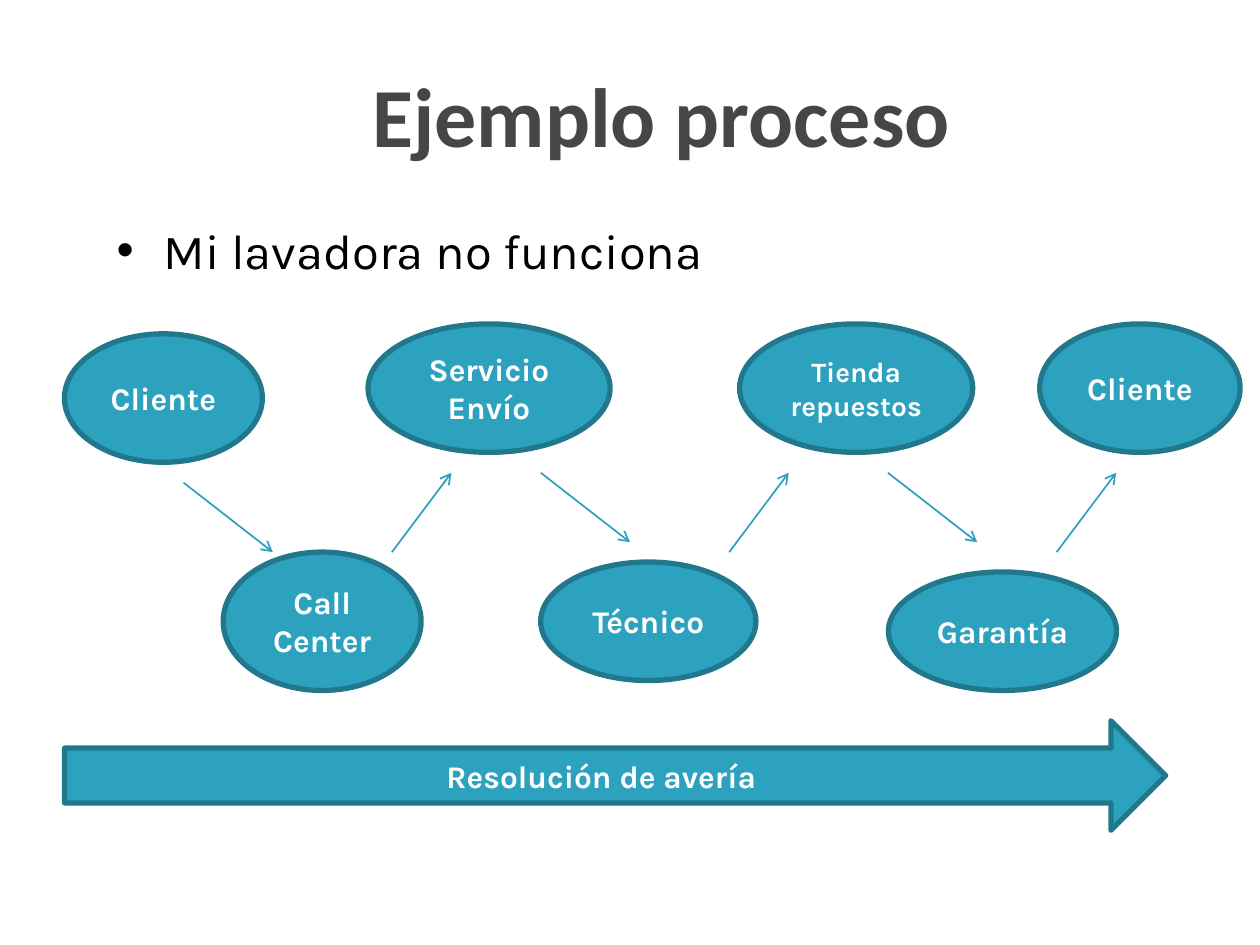
from pptx import Presentation
from pptx.dml.color import RGBColor
from pptx.enum.shapes import MSO_CONNECTOR, MSO_SHAPE
from pptx.enum.text import MSO_ANCHOR, PP_ALIGN
from pptx.oxml.ns import qn
from pptx.util import Cm, Pt
from lxml.etree import SubElement


def color(code):
    return RGBColor.from_string(code)


def write(shape, text, size=18, font="Karla", ink="FFFFFF", bold=True,
          align=PP_ALIGN.CENTER, anchor=MSO_ANCHOR.MIDDLE):
    frame = shape.text_frame
    frame.word_wrap = True
    frame.vertical_anchor = anchor
    par = frame.paragraphs[0]
    par.alignment = align
    run = par.add_run()
    run.text = text
    run.font.size = Pt(size)
    run.font.name = font
    run.font.bold = bold
    run.font.color.rgb = color(ink)
    return par


deck = Presentation()
deck.slide_width = Cm(25.4)
deck.slide_height = Cm(19.05)
slide = deck.slides.add_slide(deck.slide_layouts[6])
shapes = slide.shapes

title = shapes.add_textbox(Cm(1.9), Cm(0.7), Cm(22.86), Cm(3.18))
write(title, "Ejemplo proceso", size=48, font="Calibri", ink="464646")

body = shapes.add_textbox(Cm(2.1), Cm(4.32), Cm(19.48), Cm(12.57))
par = write(body, "Mi lavadora no funciona", size=28, ink="000000", bold=False,
            align=PP_ALIGN.LEFT, anchor=MSO_ANCHOR.TOP)
par.space_before = Pt(5.6)
props = par._p.get_or_add_pPr()
props.set("marL", str(Cm(0.95)))
props.set("indent", str(-Cm(0.95)))
SubElement(props, qn("a:buFont"), typeface="Arial")
SubElement(props, qn("a:buChar"), char="•")

oval = MSO_SHAPE.OVAL
steps = [
    (oval, "Cliente", 1.3, 6.73, 3.99, 2.59, 18),
    (oval, "Call Center", 4.5, 11.13, 3.99, 2.79, 18),
    (oval, "Servicio Envío", 7.42, 6.53, 4.88, 2.59, 18),
    (oval, "Técnico", 10.9, 11.33, 4.34, 2.39, 18),
    (oval, "Tienda repuestos", 14.91, 6.53, 4.7, 2.59, 16),
    (oval, "Garantía", 17.91, 11.53, 4.6, 2.39, 18),
    (oval, "Cliente", 20.96, 6.53, 4.04, 2.59, 18),
    (MSO_SHAPE.RIGHT_ARROW, "Resolución de avería", 1.3, 14.53, 22.2, 2.21, 18),
]
for kind, text, left, top, width, height, size in steps:
    step = shapes.add_shape(kind, Cm(left), Cm(top), Cm(width), Cm(height))
    step.shadow.inherit = False
    step.fill.solid()
    step.fill.fore_color.rgb = color("2DA2BF")
    step.line.color.rgb = color("21788D")
    step.line.width = Pt(3)
    write(step, text, size=size)

down, up = (1.8, 1.4), (1.2, -1.6)
links = [
    (3.7, 9.73, down), (7.9, 11.13, up),
    (10.9, 9.53, down), (14.7, 11.13, up),
    (17.9, 9.53, down), (21.3, 11.13, up),
]
for left, top, (run, rise) in links:
    link = shapes.add_connector(MSO_CONNECTOR.STRAIGHT, Cm(left), Cm(top),
                                Cm(left + run), Cm(top + rise))
    link.line.color.rgb = color("2DA2BF")
    link.line.width = Pt(1)
    SubElement(link.line._get_or_add_ln(), qn("a:tailEnd"), type="arrow")
    SubElement(link._element.spPr, qn("a:effectLst"))

deck.save("out.pptx")
